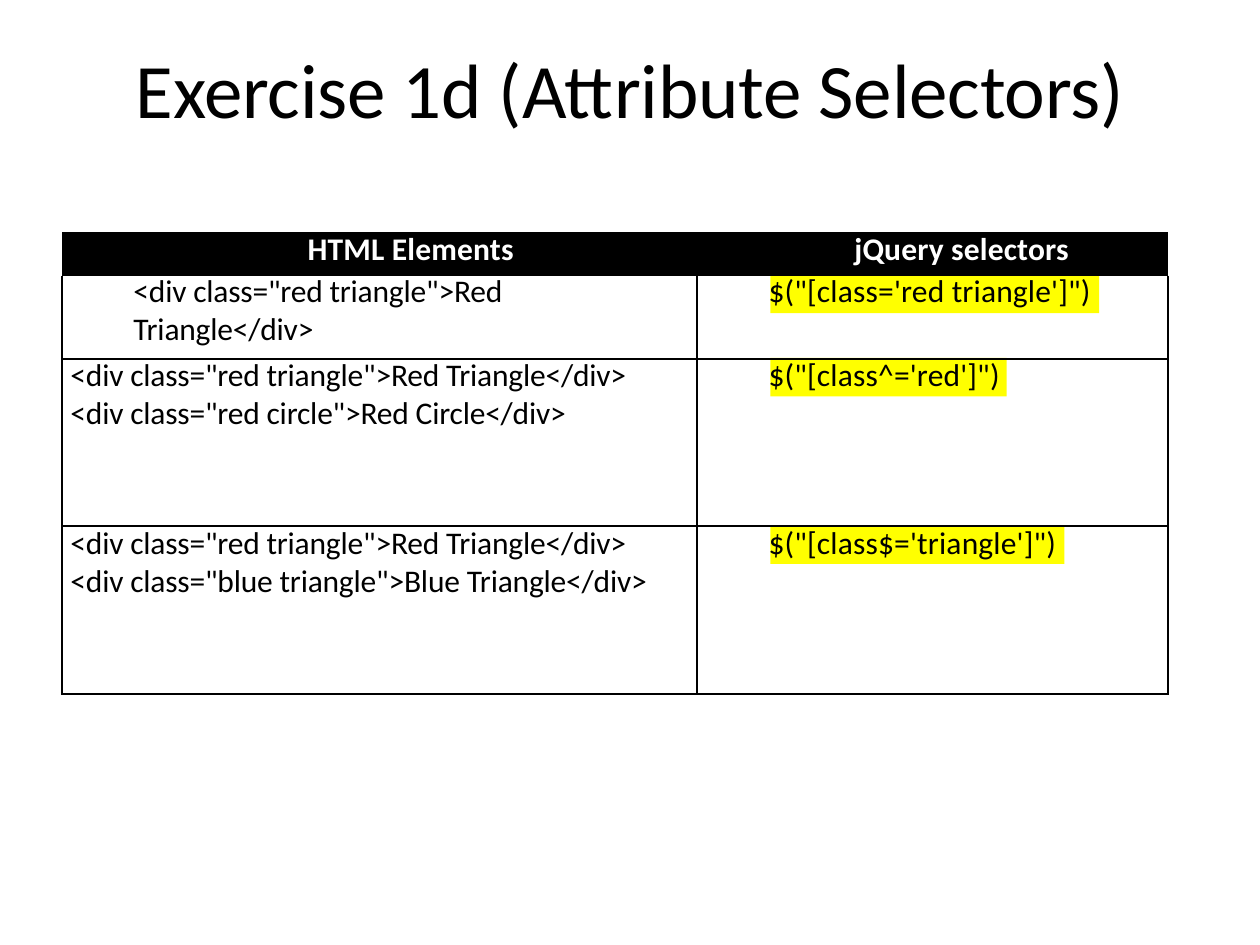
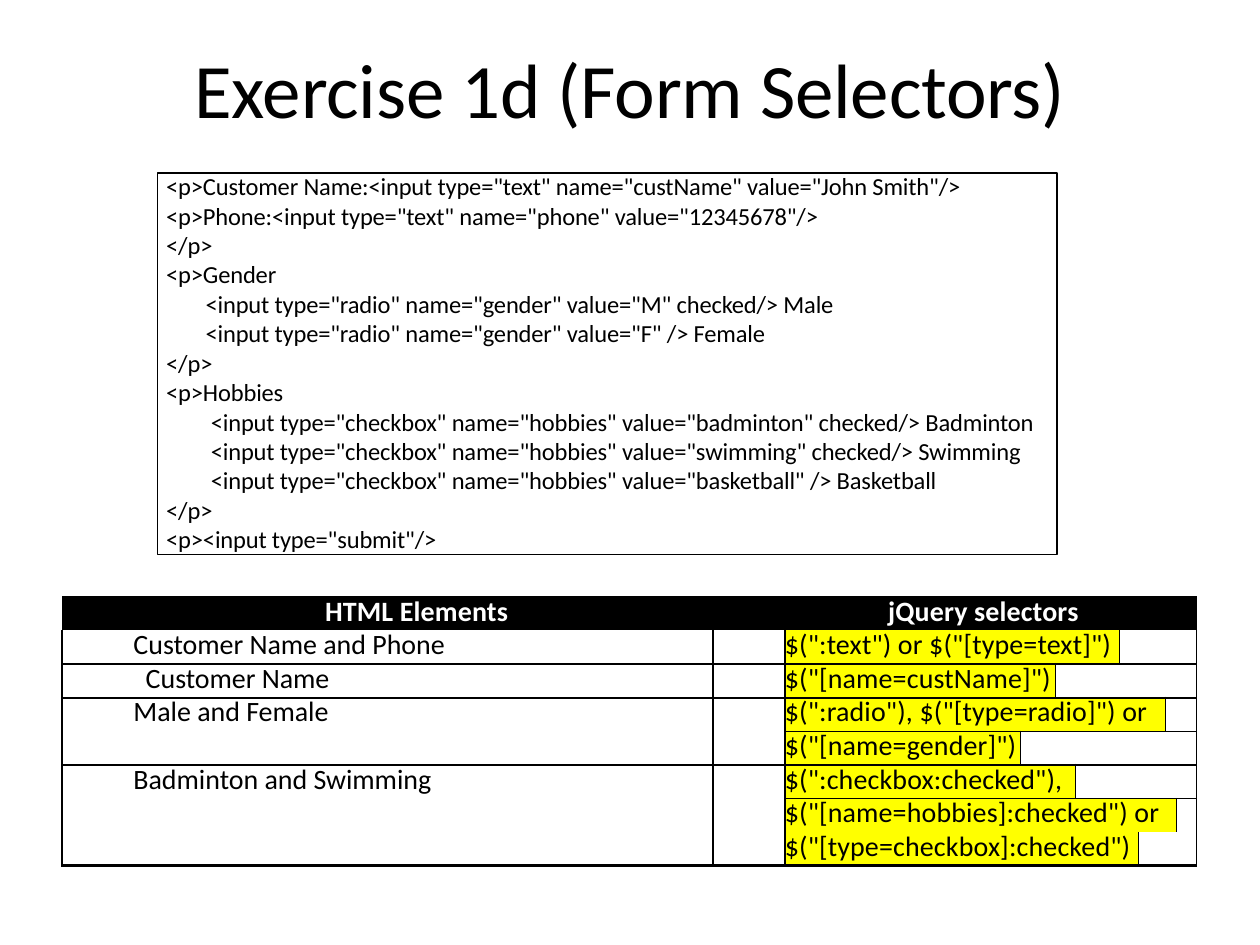
import pptx
import pptx.util
import pptx.dml.color
import pptx.enum.shapes
import pptx.enum.text
import pptx.oxml.ns
import lxml.etree

Pt = pptx.util.Pt
Align = pptx.enum.text.PP_ALIGN
RECT = pptx.enum.shapes.MSO_SHAPE.RECTANGLE

# Content
HEADS = ["HTML Elements", "jQuery selectors"]

ATTRS = [  # elements, their indent, selector
    (['<div class="red triangle">Red', "Triangle</div>"], 41,
     "$(\"[class='red triangle']\")"),
    (['<div class="red triangle">Red Triangle</div>',
      '<div class="red circle">Red Circle</div>'], 5,
     "$(\"[class^='red']\")"),
    (['<div class="red triangle">Red Triangle</div>',
      '<div class="blue triangle">Blue Triangle</div>'], 5,
     "$(\"[class$='triangle']\")"),
]
MARKS = [188, 135, 168]  # highlight widths

CODE = [  # indent, line
    (5, '<p>Customer Name:<input type="text" name="custName" value="John Smith"/>'),
    (5, '<p>Phone:<input type="text" name="phone" value="12345678"/>'),
    (5, "</p>"),
    (5, "<p>Gender"),
    (27.5, '<input type="radio" name="gender" value="M" checked/> Male'),
    (27.5, '<input type="radio" name="gender" value="F" /> Female'),
    (5, "</p>"),
    (5, "<p>Hobbies"),
    (30.5, '<input type="checkbox" name="hobbies" value="badminton" checked/> Badminton'),
    (30.5, '<input type="checkbox" name="hobbies" value="swimming" checked/> Swimming'),
    (30.5, '<input type="checkbox" name="hobbies" value="basketball" /> Basketball'),
    (5, "</p>"),
    (5, '<p><input type="submit"/>'),
]

FORMS = [  # element, its indent, selector lines with the columns each covers
    ("Customer Name and Phone", 41, [('$(":text") or $("[type=text]")', 4)]),
    ("Customer Name", 48, [('$("[name=custName]")', 2)]),
    ("Male and Female", 41, [('$(":radio"), $("[type=radio]") or', 6),
                             ('$("[name=gender]")', 1)]),
    ("Badminton and Swimming", 41, [('$(":checkbox:checked"),', 3),
                                    ('$("[name=hobbies]:checked") or', 7),
                                    ('$("[type=checkbox]:checked")', 5)]),
]


class Theme:
    font = "Calibri"
    ink, paper, mark = (pptx.dml.color.RGBColor.from_string(c)
                        for c in ("000000", "FFFFFF", "FFFF00"))
    title, large, mid, small = 44, 18, 16, 14
    thin, line, rule = 0.75, 1, 1.5
    left = 35.3
    plain = "{2D5ABB26-0587-4C30-8999-92F81FD0307C}"  # table without grid


# Text and shape helpers
def write(frame, lines, size, color=Theme.ink, bold=False, lead=None, track=0,
          align=Align.LEFT):
    """Fill a frame with (indent, text) lines; lead applies to the first."""
    for i, (indent, text) in enumerate(lines):
        para = frame.paragraphs[0] if i == 0 else frame.add_paragraph()
        para.alignment = align
        para.font.name, para.font.size = Theme.font, Pt(size)
        para.font.bold, para.font.color.rgb = bold, color
        if lead and i == 0:
            para.line_spacing = Pt(lead)
        props = para._p.get_or_add_pPr()
        props.set("marL", str(Pt(indent)))
        props.set("indent", "0")
        run = para.add_run()
        run.text = text
        run._r.get_or_add_rPr().set("spc", str(track))


def bare(frame):
    frame.margin_left = frame.margin_right = 0
    frame.margin_top = frame.margin_bottom = 0


def rect(slide, x, y, w, h, fill=None, line=None):
    box = slide.shapes.add_shape(RECT, Pt(x), Pt(y), Pt(w), Pt(h))
    box.shadow.inherit = False
    if fill is None:
        box.fill.background()
    else:
        box.fill.solid()
        box.fill.fore_color.rgb = fill
    if line is None:
        box.line.fill.background()
    else:
        box.line.color.rgb, box.line.width = line, Pt(Theme.line)
    return box


def page(title, width):
    slide = deck.slides.add_slide(deck.slide_layouts[6])
    box = slide.shapes.add_textbox(Pt((720 - width) / 2), Pt(22.5), Pt(width), Pt(54.7))
    frame = box.text_frame
    bare(frame)
    frame.word_wrap = False
    frame.vertical_anchor = pptx.enum.text.MSO_ANCHOR.MIDDLE
    write(frame, [(0, title)], Theme.title, track=-15, align=Align.CENTER)
    return slide


# Table helpers
def grid(slide, top, cols, rows):
    frame = slide.shapes.add_table(len(rows), len(cols), Pt(Theme.left), Pt(top),
                                   Pt(sum(cols)), Pt(sum(rows)))
    table = frame.table
    table._tbl.tblPr.find(pptx.oxml.ns.qn("a:tableStyleId")).text = Theme.plain
    table.horz_banding = False
    for col, w in zip(table.columns, cols):
        col.width = Pt(w)
    for row, h in zip(table.rows, rows):
        row.height = Pt(h)
    for cell in table.iter_cells():
        bare(cell)
        cell.fill.background()
        end = lxml.etree.SubElement(cell.text_frame.paragraphs[0]._p,
                                    pptx.oxml.ns.qn("a:endParaRPr"))
        end.set("sz", "1000")
    return table


def paint(cell, fill):
    cell.fill.solid()
    cell.fill.fore_color.rgb = fill


def edge(cell, **widths):
    """Draw cell borders, named L, R, T and B."""
    sides = [s for s in "LRTB" if widths.get(s)]
    for i, side in enumerate(sides):
        line = lxml.etree.Element(pptx.oxml.ns.qn("a:ln" + side))
        line.set("w", str(Pt(widths[side])))
        fill = lxml.etree.SubElement(line, pptx.oxml.ns.qn("a:solidFill"))
        tone = lxml.etree.SubElement(fill, pptx.oxml.ns.qn("a:srgbClr"))
        tone.set("val", str(Theme.ink))
        cell._tc.get_or_add_tcPr().insert(i, line)


def header(table, size, lead, indents, aligns):
    for c, text in enumerate(HEADS):
        cell = table.cell(0, c)
        paint(cell, Theme.ink)
        write(cell.text_frame, [(indents[c], text)], size, Theme.paper, True, lead,
              12, aligns[c])


deck = pptx.Presentation()
deck.slide_width, deck.slide_height = Pt(720), Pt(540)

# Attribute selectors
slide = page("Exercise 1d (Attribute Selectors)", 571.7)
top, cols, rows = 132.5, [362.9, 269.3], [25, 47.5, 95.8, 95.8]
for i, width in enumerate(MARKS):
    rect(slide, Theme.left + cols[0] + 42, top + sum(rows[:i + 1]) - 0.5, width, 22,
         fill=Theme.mark)
table = grid(slide, top, cols, rows)
header(table, Theme.large, 21, [36, 90], [Align.CENTER, Align.LEFT])
for r, (parts, indent, pick) in enumerate(ATTRS, 1):
    lead = 20 if r == 1 else 20.7
    texts = [([(indent, t) for t in parts], -10), ([(41, pick)], 10)]
    for c, (lines, track) in enumerate(texts):
        cell = table.cell(r, c)
        write(cell.text_frame, lines, Theme.large, lead=lead, track=track)
        edge(cell, L=Theme.line, R=Theme.line, T=Theme.rule if r > 1 else 0,
             B=Theme.rule if r < len(ATTRS) else Theme.line)

# Form selectors
slide = page("Exercise 1d (Form Selectors)", 503.3)
cols = [372.2, 41, 134.6, 20.2, 11.5, 25.2, 10.8, 15.1, 6.5, 11.5]
last = len(cols) - 1
table = grid(slide, 340.6, cols, [19.7] + [19.2] * sum(len(f[2]) for f in FORMS))
table.cell(0, 1).merge(table.cell(0, last))
header(table, Theme.mid, 18.8, [150.5, 100], [Align.LEFT] * 2)
r = 1
for name, indent, picks in FORMS:
    end = r + len(picks) - 1
    rule = Theme.rule if r > 1 else 0
    for c in (0, 1):
        if end > r:
            table.cell(r, c).merge(table.cell(end, c))
        edge(table.cell(r, c), L=Theme.line, R=0 if c else Theme.line,
             T=rule, B=Theme.rule)
    write(table.cell(r, 0).text_frame, [(indent, name)], Theme.mid, lead=18.2)
    for row, (pick, span) in enumerate(picks, r):
        code, rest = table.cell(row, 2), table.cell(row, 2 + span)
        if span > 1:
            code.merge(table.cell(row, 1 + span))
        if 2 + span < last:
            rest.merge(table.cell(row, last))
        paint(code, Theme.mark)
        write(code.text_frame, [(0, pick)], Theme.mid, lead=18.2, track=12)
        above = rule if row == r else 0
        below = Theme.rule if row == end else Theme.thin if row == r else 0
        edge(code, L=Theme.thin, T=above, B=below)
        edge(rest, R=Theme.line, T=above, B=below)
    r = end + 1

# Form source
box = rect(slide, 90, 98.7, 514, 218.2, line=Theme.ink)
bare(box.text_frame)
box.text_frame.word_wrap = True
box.text_frame.vertical_anchor = pptx.enum.text.MSO_ANCHOR.TOP
write(box.text_frame, CODE, Theme.small, lead=16, track=-10)

deck.save("out.pptx")
